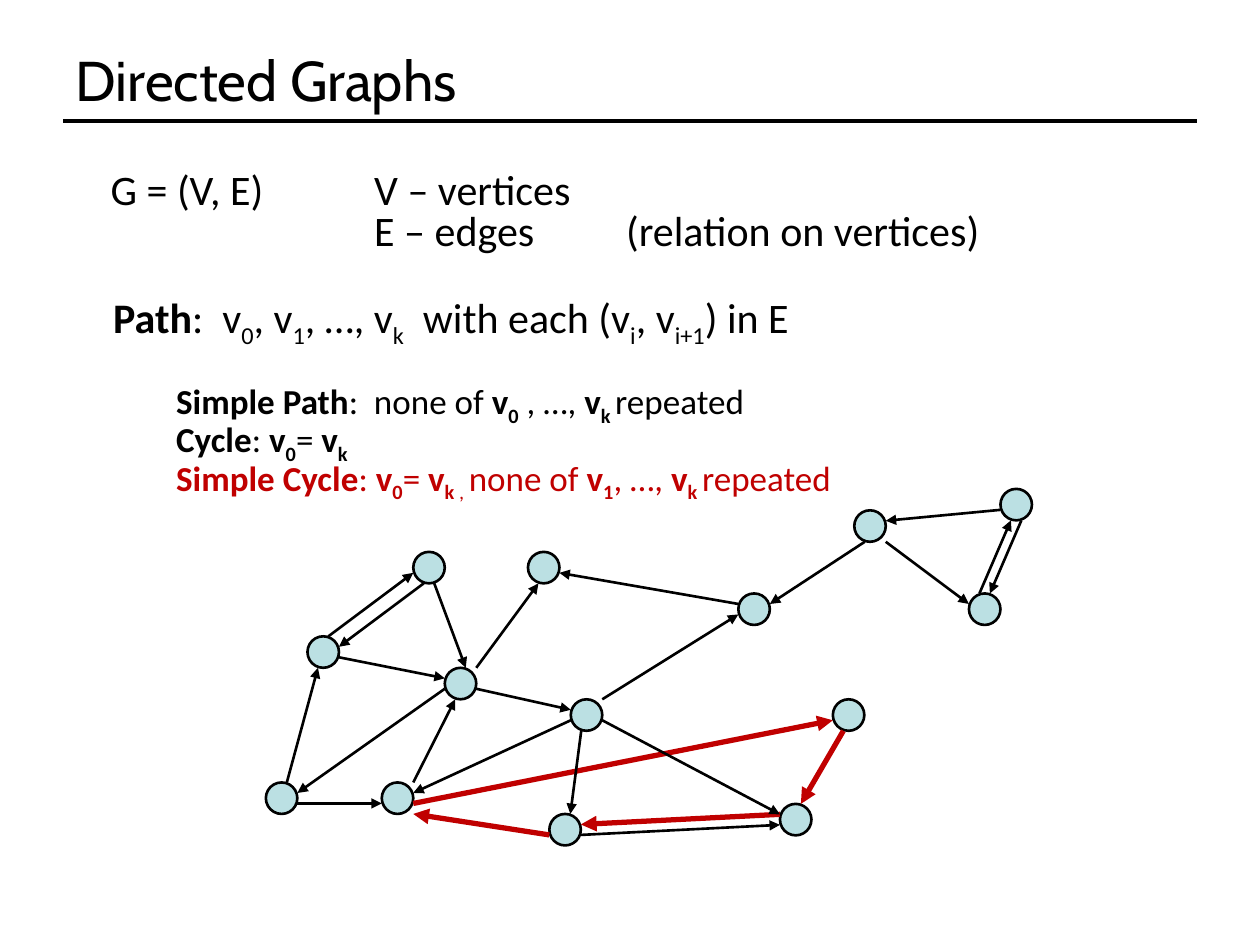
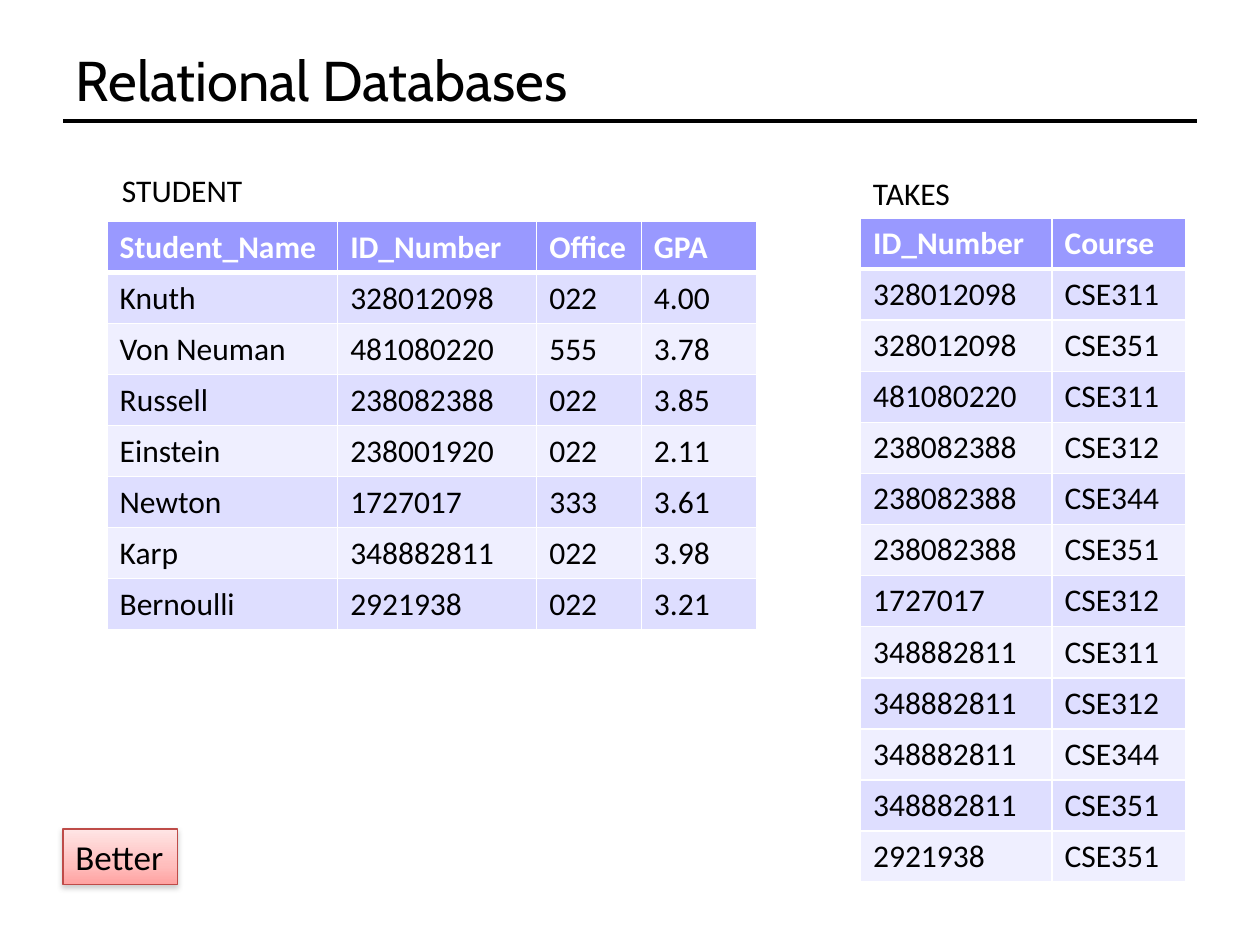
from copy import deepcopy

from lxml.etree import SubElement
from pptx import Presentation
from pptx.dml.color import RGBColor
from pptx.enum.shapes import MSO_CONNECTOR, MSO_SHAPE
from pptx.enum.text import MSO_ANCHOR, MSO_AUTO_SIZE, PP_ALIGN
from pptx.oxml.ns import qn
from pptx.util import Inches, Pt

COLORS = {
    "ink": "000000", "paper": "FFFFFF", "node": "BBE0E3", "red": "C00000",
    "header": "9999FF", "odd": "DEDEFF", "even": "EFEFFF",
    "badge_line": "BE4B48", "badge_shadow": "808080",
    "badge_top": "FFE5E5", "badge_mid": "FFBEBD", "badge_bottom": "FFA2A1",
}
TITLE_FONT, BODY_FONT = "Cabin", "Calibri"

# Runs are (text, flags): b is bold, s is subscript.
PATH = [("Path", "b"), (":  v", ""), ("0", "s"), (", v", ""), ("1", "s"),
        (", …, v", ""), ("k", "s"), ("  with each (v", ""), ("i", "s"),
        (", v", ""), ("i+1", "s"), (") in E", "")]
SIMPLE_PATH = [("Simple Path", "b"), (":  none of ", ""), ("v", "b"), ("0", "bs"),
               (" , …, ", ""), ("v", "b"), ("k ", "bs"), ("repeated", "")]
CYCLE = [("Cycle", "b"), (": ", ""), ("v", "b"), ("0", "bs"), ("= ", ""),
         ("v", "b"), ("k", "bs")]
SIMPLE_CYCLE = [("Simple Cycle", "b"), (": ", ""), ("v", "b"), ("0", "bs"),
                ("= ", ""), ("v", "b"), ("k", "bs"), (" , ", "s"),
                ("none of ", ""), ("v", "b"), ("1", "bs"), (", …, ", ""),
                ("v", "b"), ("k ", "bs"), ("repeated", "")]

NODE_SIZE = 0.25
NODES = {
    "a": (2.44, 5.05), "b": (4.53, 5.55), "c": (2.11, 6.21), "d": (5.86, 4.71),
    "e": (3.53, 5.3), "f": (3.03, 6.21), "g": (4.36, 6.46), "h": (4.19, 4.38),
    "i": (6.78, 4.05), "j": (6.61, 5.55), "k": (3.28, 4.38), "l": (6.19, 6.38),
    "m": (7.94, 3.88), "n": (7.69, 4.71),
}
# Source node and port, target node and port; ports count thirds of a node.
EDGES = [
    ("e", (0, 2), "c", (3, 1)), ("f", (3, 0), "e", (1, 3)),
    ("c", (3, 2), "f", (0, 2)), ("c", (2, 0), "a", (1, 3)),
    ("a", (2, 0), "k", (0, 2)), ("k", (1, 3), "a", (3, 1)),
    ("a", (3, 2), "e", (0, 1)), ("k", (2, 3), "e", (2, 0)),
    ("e", (3, 0), "h", (1, 3)), ("e", (3, 2), "b", (0, 1)),
    ("b", (0, 2), "f", (3, 1)), ("f", (3, 2), "j", (0, 2)),
    ("g", (0, 2), "f", (3, 3)), ("b", (1, 3), "g", (2, 0)),
    ("l", (0, 1), "g", (3, 1)), ("j", (1, 3), "l", (2, 0)),
    ("b", (3, 2), "l", (0, 1)), ("b", (3, 0), "d", (0, 2)),
    ("d", (0, 1), "h", (3, 2)), ("i", (1, 3), "d", (3, 1)),
    ("i", (3, 3), "n", (0, 1)), ("m", (0, 2), "i", (3, 1)),
    ("m", (2, 3), "n", (2, 0)), ("n", (1, 0), "m", (1, 3)),
    ("g", (3, 2), "l", (0, 2)),
]
SIMPLE_CYCLE_EDGES = {("f", "j"), ("j", "l"), ("l", "g"), ("g", "f")}

STUDENT = [
    ("Student_Name", "ID_Number", "Office", "GPA"),
    ("Knuth", "328012098", "022", "4.00"),
    ("Von Neuman", "481080220", "555", "3.78"),
    ("Russell", "238082388", "022", "3.85"),
    ("Einstein", "238001920", "022", "2.11"),
    ("Newton", "1727017", "333", "3.61"),
    ("Karp", "348882811", "022", "3.98"),
    ("Bernoulli", "2921938", "022", "3.21"),
]
TAKES = [
    ("ID_Number", "Course"),
    ("328012098", "CSE311"), ("328012098", "CSE351"), ("481080220", "CSE311"),
    ("238082388", "CSE312"), ("238082388", "CSE344"), ("238082388", "CSE351"),
    ("1727017", "CSE312"), ("348882811", "CSE311"), ("348882811", "CSE312"),
    ("348882811", "CSE344"), ("348882811", "CSE351"), ("2921938", "CSE351"),
]


def rgb(color):
    return RGBColor.from_string(COLORS[color])


def inches(*lengths):
    return [Inches(length) for length in lengths]


def add_run(paragraph, text, size, color="ink", flags="", font=BODY_FONT):
    run = paragraph.add_run()
    run.text = text
    run.font.name = font
    run.font.size = Pt(size)
    run.font.bold = "b" in flags
    run.font.color.rgb = rgb(color)
    if "s" in flags:
        run._r.get_or_add_rPr().set("baseline", "-25000")


def add_line(slide, start, end, color="ink", width=1.5, arrow=False):
    line = slide.shapes.add_connector(MSO_CONNECTOR.STRAIGHT, *inches(*start, *end))
    line.line.color.rgb = rgb(color)
    line.line.width = Pt(width)
    if arrow:
        SubElement(line.line._get_or_add_ln(), qn("a:tailEnd"), type="triangle")
    SubElement(line._element.spPr, qn("a:effectLst"))


def add_titled_slide(deck, heading):
    slide = deck.slides.add_slide(deck.slide_layouts[5])
    title = slide.shapes.title
    title.left, title.top, title.width, title.height = inches(0.5, 0.3, 9, 0.66)
    frame = title.text_frame
    frame.auto_size = MSO_AUTO_SIZE.NONE
    frame.vertical_anchor = MSO_ANCHOR.MIDDLE
    frame.paragraphs[0].alignment = PP_ALIGN.LEFT
    add_run(frame.paragraphs[0], heading, 32, font=TITLE_FONT)
    add_line(slide, (0.5, 0.96), (9.5, 0.96), width=2)
    return slide


def add_paragraphs(slide, box, paragraphs):
    """Add a text box of (runs, size, color) paragraphs set at 80% spacing."""
    frame = slide.shapes.add_textbox(*inches(*box)).text_frame
    frame.word_wrap = True
    for number, (runs, size, color) in enumerate(paragraphs):
        paragraph = frame.add_paragraph() if number else frame.paragraphs[0]
        paragraph.line_spacing = 0.8
        for text, flags in runs:
            add_run(paragraph, text, size, color, flags)
    return frame


def add_definitions(slide):
    add_paragraphs(slide, (0.78, 1.33, 1.5, 0.43), [([("G = (V, E)", "")], 24, "ink")])

    parts = add_paragraphs(slide, (2.37, 1.33, 6.02, 0.76), [
        ([("V – vertices", "")], 24, "ink"),
        ([("E – edges \t(relation on vertices)", "")], 24, "ink")])
    parts.margin_left = Inches(0.6)
    tabs = SubElement(parts.paragraphs[1]._p.get_or_add_pPr(), qn("a:tabLst"))
    SubElement(tabs, qn("a:tab"), pos=str(Inches(2)), algn="l")

    paths = add_paragraphs(slide, (0.8, 2.31, 6.83, 1.61), [
        (PATH, 24, "ink"), (SIMPLE_PATH, 20, "ink"),
        (CYCLE, 20, "ink"), (SIMPLE_CYCLE, 20, "red")])
    for kind in paths.paragraphs[1:]:
        kind._p.get_or_add_pPr().set("marL", str(Inches(0.5)))
    paths.paragraphs[1].space_before = Pt(23.4)


def port_position(node, port):
    return [corner + NODE_SIZE * thirds / 3 for corner, thirds in zip(NODES[node], port)]


def add_graph(slide):
    for corner in NODES.values():
        node = slide.shapes.add_shape(
            MSO_SHAPE.OVAL, *inches(*corner, NODE_SIZE, NODE_SIZE))
        node.shadow.inherit = False
        node.fill.solid()
        node.fill.fore_color.rgb = rgb("node")
        node.line.color.rgb = rgb("ink")
        node.line.width = Pt(1.5)
    for source, out_port, target, in_port in EDGES:
        color, width = (("red", 3) if (source, target) in SIMPLE_CYCLE_EDGES
                        else ("ink", 1.5))
        add_line(slide, port_position(source, out_port),
                 port_position(target, in_port), color, width, arrow=True)


def add_cell_borders(cell, is_header, is_first_record):
    widths = {"lnL": 1, "lnR": 1, "lnT": 3 if is_first_record else 1,
              "lnB": 3 if is_header else 1}
    for side, width in widths.items():
        border = SubElement(cell._tc.get_or_add_tcPr(), qn(f"a:{side}"), w=str(Pt(width)))
        fill = SubElement(border, qn("a:solidFill"))
        SubElement(fill, qn("a:srgbClr"), val=COLORS["paper"])


def add_relation(slide, records, left, top, height, column_widths):
    table = slide.shapes.add_table(
        len(records), len(column_widths),
        *inches(left, top, sum(column_widths), height)).table
    for column, width in zip(table.columns, column_widths):
        column.width = Inches(width)
    for row, record in enumerate(records):
        table.rows[row].height = Inches(height / len(records))
        band = "header" if row == 0 else "odd" if row % 2 else "even"
        for column, value in enumerate(record):
            cell = table.cell(row, column)
            add_cell_borders(cell, row == 0, row == 1)
            cell.fill.solid()
            cell.fill.fore_color.rgb = rgb(band)
            add_run(cell.text_frame.paragraphs[0], value, 18,
                    "ink" if row else "paper", "" if row else "b")


def add_fitted_text(shape, text, size):
    frame = shape.text_frame
    frame.word_wrap = False
    frame.auto_size = MSO_AUTO_SIZE.SHAPE_TO_FIT_TEXT
    frame.paragraphs[0].alignment = PP_ALIGN.LEFT
    add_run(frame.paragraphs[0], text, size)


def add_badge(slide, text):
    badge = slide.shapes.add_shape(MSO_SHAPE.RECTANGLE, *inches(0.5, 6.58, 0.91, 0.44))
    badge.line.color.rgb = rgb("badge_line")
    badge.line.width = Pt(0.75)
    badge.fill.gradient()
    badge.fill.gradient_angle = 270
    properties = badge._element.spPr
    stops = properties.find(".//" + qn("a:gsLst"))
    stops.insert(1, deepcopy(stops[0]))
    shades = [(0, "badge_top"), (0.65, "badge_mid"), (1, "badge_bottom")]
    for stop, (position, color) in zip(badge.fill.gradient_stops, shades):
        stop.position = position
        stop.color.rgb = rgb(color)
    badge.shadow.inherit = False
    shadow = SubElement(properties.find(qn("a:effectLst")), qn("a:outerShdw"),
                        blurRad=str(Pt(3.1)), dist=str(Pt(1.6)),
                        dir="5400000", rotWithShape="0")
    tint = SubElement(shadow, qn("a:srgbClr"), val=COLORS["badge_shadow"])
    SubElement(tint, qn("a:alpha"), val="38000")
    add_fitted_text(badge, text, 20)


def main():
    deck = Presentation()
    deck.slide_width, deck.slide_height = inches(10, 7.5)

    graphs = add_titled_slide(deck, "Directed Graphs")
    add_graph(graphs)
    add_definitions(graphs)

    databases = add_titled_slide(deck, "Relational Databases")
    add_relation(databases, TAKES, 6.83, 1.73, 5.27, (1.52, 1.06))
    add_badge(databases, "Better")
    add_relation(databases, STUDENT, 0.85, 1.76, 3.24, (1.83, 1.58, 0.83, 0.92))
    for name, box in (("STUDENT", (0.87, 1.31, 1.16, 0.4)),
                      ("TAKES", (6.83, 1.33, 0.82, 0.4))):
        add_fitted_text(databases.shapes.add_textbox(*inches(*box)), name, 18)

    deck.save("out.pptx")


if __name__ == "__main__":
    main()
